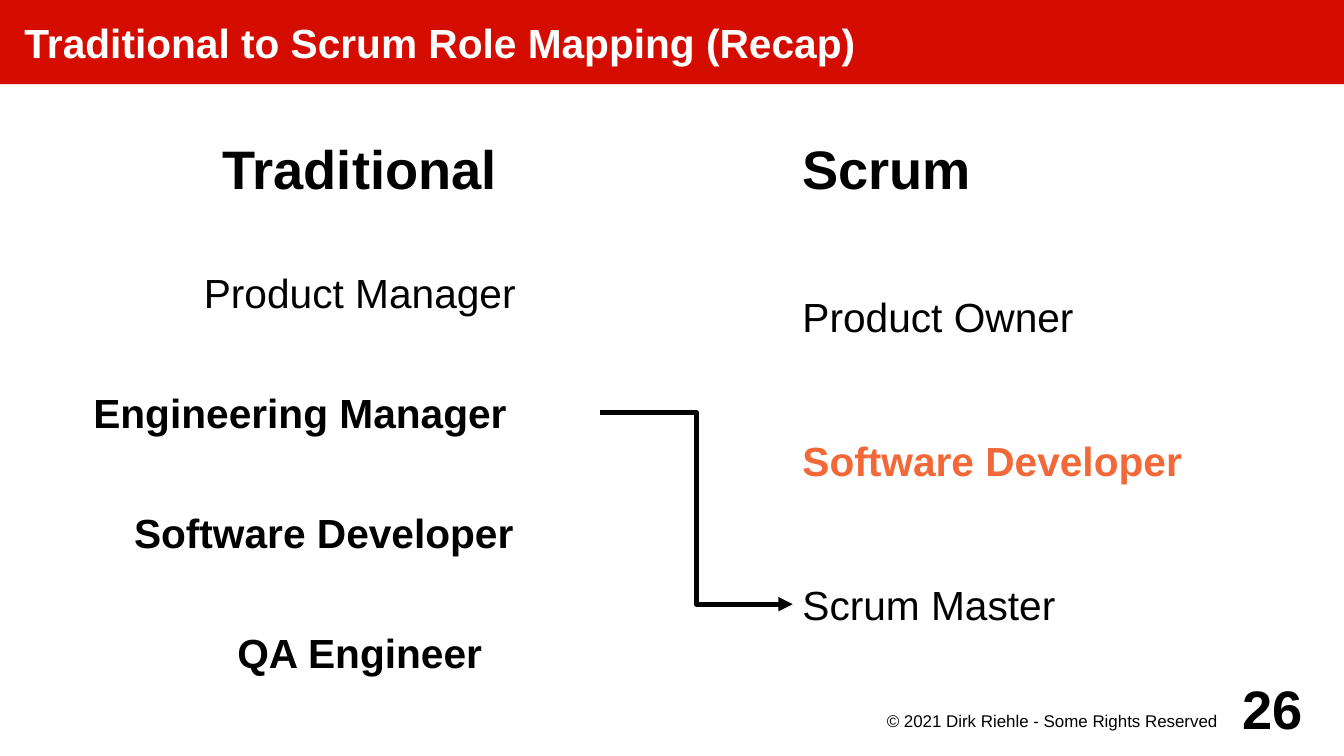
from lxml import etree
from pptx import Presentation
from pptx.dml.color import RGBColor
from pptx.enum import shapes, text
from pptx.oxml import ns
from pptx.util import Inches, Pt

# Content: each role is (wording, box width, format)
TITLE = "Traditional to Scrum Role Mapping (Recap)"
TRADITIONAL = [
    ("Product Manager", 3.94, {}),
    ("Engineering Manager", 4.92, {"bold": True}),
    ("Software Developer", 4.53, {"bold": True}),
    ("QA Engineer", 3.94, {"bold": True}),
]
SCRUM = [
    ("Product Owner", 4.53, {}),
    ("Software Developer", 4.33, {"bold": True, "color": "accent"}),
    ("Scrum Master", 3.94, {}),
]
MAPPING = ("Engineering Manager", "Scrum Master")
COPYRIGHT = "© 2021 Dirk Riehle - Some Rights Reserved"
PAGE_NUMBER = "26"

THEME = {
    "font": "Arial",
    "colors": {"bar": "D50D01", "title": "FFFFFF", "text": "000000", "accent": "F36838"},
    "sizes": {"heading": 32, "body": 24, "footer": 10},
    "line": 2.83,
}

# Layout in inches
SLIDE_WIDTH, SLIDE_HEIGHT = 11.02, 6.2
LEFT_EDGE, RIGHT_EDGE = 4.92, 6.5
HEADING_TOP, HEADING_WIDTH = 0.79, 3.94
FIRST_ROW = 1.81
LEFT_HEIGHT, LEFT_LAST_ROW = 1.18, 4.76
RIGHT_HEIGHT, RIGHT_LAST_ROW = 1.57, 4.17
PADDING = (0.08,) * 4


def theme_color(name):
    return RGBColor.from_string(THEME["colors"][name])


def write(shape, wording, size="body", color="text", bold=False, align="LEFT",
          anchor="MIDDLE", insets=PADDING):
    frame = shape.text_frame
    frame.word_wrap = True
    frame.auto_size = text.MSO_AUTO_SIZE.NONE
    frame.vertical_anchor = text.MSO_ANCHOR[anchor]
    (frame.margin_left, frame.margin_top,
     frame.margin_right, frame.margin_bottom) = map(Inches, insets)
    paragraph = frame.paragraphs[0]
    paragraph.alignment = text.PP_ALIGN[align]
    run = paragraph.add_run()
    run.text = wording
    run.font.name = THEME["font"]
    run.font.size = Pt(THEME["sizes"][size])
    run.font.bold = bold
    run.font.color.rgb = theme_color(color)


def add_text(slide, wording, left, top, width, height, **text_format):
    box = slide.shapes.add_textbox(*map(Inches, (left, top, width, height)))
    write(box, wording, **text_format)


def row_tops(roles, last_row):
    step = (last_row - FIRST_ROW) / (len(roles) - 1)
    return {role[0]: FIRST_ROW + step * row for row, role in enumerate(roles)}


def add_title(slide):
    title = slide.shapes.title
    title.left, title.top = 0, 0
    title.width, title.height = Inches(SLIDE_WIDTH), Inches(0.69)
    title.fill.solid()
    title.fill.fore_color.rgb = theme_color("bar")
    write(title, TITLE, color="title", bold=True, insets=(0.2, 0, 0, 0))


def add_arrow(slide, start, end):
    arrow = slide.shapes.add_connector(
        shapes.MSO_CONNECTOR.ELBOW, *map(Inches, start + end))
    arrow.line.color.rgb = theme_color("text")
    arrow.line.width = Pt(THEME["line"])
    etree.SubElement(arrow.line._get_or_add_ln(), ns.qn("a:tailEnd"), type="triangle")
    etree.SubElement(arrow._element.spPr, ns.qn("a:effectLst"))


def main():
    presentation = Presentation()
    presentation.slide_width = Inches(SLIDE_WIDTH)
    presentation.slide_height = Inches(SLIDE_HEIGHT)
    slide = presentation.slides.add_slide(presentation.slide_layouts[5])
    add_title(slide)

    # Column headings
    for heading, left, align in (("Traditional", LEFT_EDGE - HEADING_WIDTH, "CENTER"),
                                 ("Scrum", RIGHT_EDGE, "LEFT")):
        add_text(slide, heading, left, HEADING_TOP, HEADING_WIDTH, LEFT_HEIGHT,
                 size="heading", bold=True, align=align)

    # Role columns
    left_tops = row_tops(TRADITIONAL, LEFT_LAST_ROW)
    right_tops = row_tops(SCRUM, RIGHT_LAST_ROW)
    for role, width, text_format in TRADITIONAL:
        add_text(slide, role, LEFT_EDGE - width, left_tops[role], width, LEFT_HEIGHT,
                 align="CENTER", **text_format)
    for role, width, text_format in SCRUM:
        add_text(slide, role, RIGHT_EDGE, right_tops[role], width, RIGHT_HEIGHT,
                 **text_format)

    # Arrow between the mapped roles
    source, target = MAPPING
    add_arrow(slide, (LEFT_EDGE, left_tops[source] + LEFT_HEIGHT / 2),
              (RIGHT_EDGE, right_tops[target] + RIGHT_HEIGHT / 2))

    # Footer
    add_text(slide, COPYRIGHT, 7.09, 5.81, 3.15, 0.3, size="footer",
             align="CENTER", anchor="TOP", insets=(0, 0.02, 0.08, 0))
    add_text(slide, PAGE_NUMBER, 10.04, 5.51, 0.79, 0.59, size="heading", bold=True,
             align="CENTER", insets=(0, 0, 0, 0))

    presentation.save("out.pptx")


if __name__ == "__main__":
    main()
